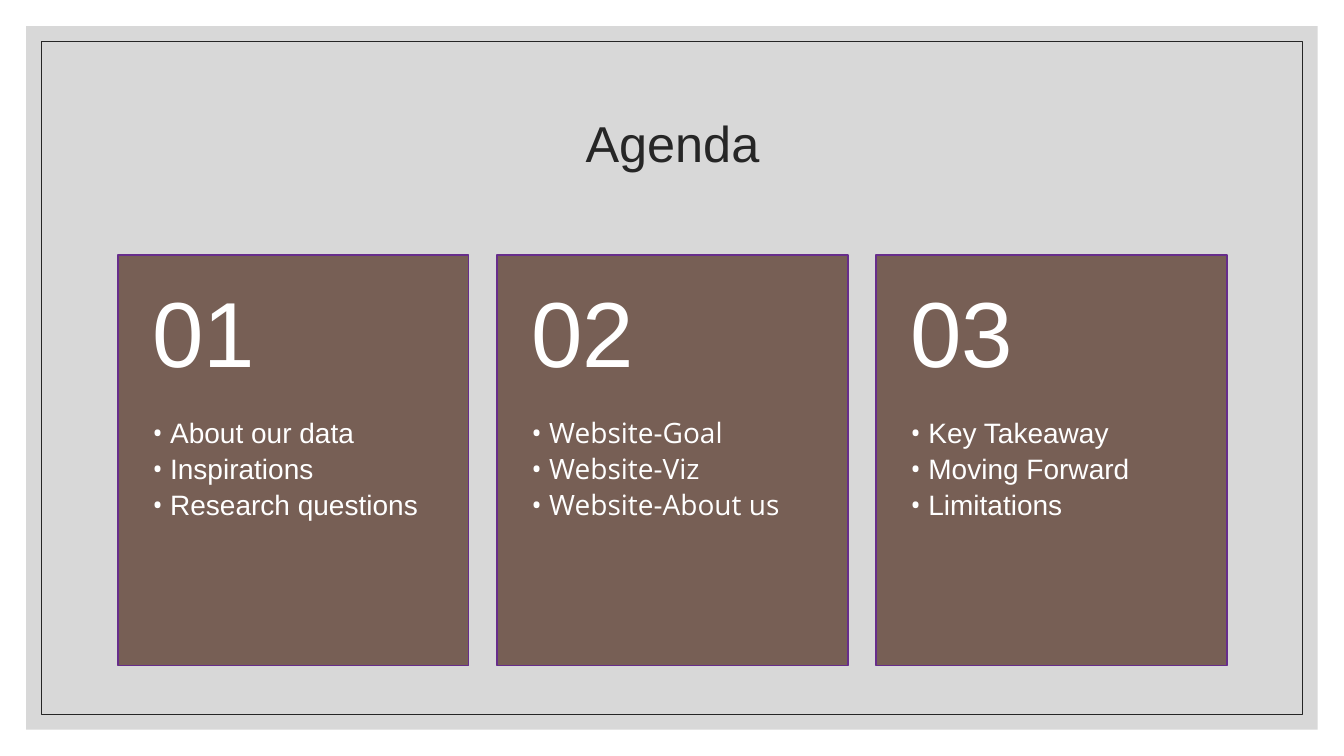
from lxml import etree
from pptx import Presentation
from pptx.dml.color import RGBColor
from pptx.enum.shapes import MSO_SHAPE
from pptx.enum.text import MSO_ANCHOR, PP_ALIGN
from pptx.oxml.ns import qn
from pptx.util import Inches, Pt

RECT = MSO_SHAPE.RECTANGLE
TOP, MIDDLE = MSO_ANCHOR.TOP, MSO_ANCHOR.MIDDLE
LEFT, CENTER = PP_ALIGN.LEFT, PP_ALIGN.CENTER

SANS, OPEN = "Arial", "Open Sans"
DARK, WHITE, GREY = "262626", "FFFFFF", "BFBFBF"
BROWN, PURPLE = "775F55", "672D8B"

TITLE = "Agenda"
CARDS = [
    ("01", SANS, ["About our data", "Inspirations", "Research questions"]),
    ("02", OPEN, ["Website-Goal", "Website-Viz", "Website-About us"]),
    ("03", SANS, ["Key Takeaway", "Moving Forward", "Limitations"]),
]

WIDE, HIGH = 13.33, 7.5
X, Y, STEP = 1.17, 2.53, 3.76
CARD_W, CARD_H, HEAD_H = 3.48, 4.07, 1.63

deck = Presentation()
deck.slide_width, deck.slide_height = Inches(WIDE), Inches(HIGH)
slide = deck.slides.add_slide(deck.slide_layouts[6])


def color(code):
    return RGBColor.from_string(code)


def add_rect(box, fill=None, line=None, width=1, alpha=None):
    shape = slide.shapes.add_shape(RECT, *map(Inches, box))
    shape.shadow.inherit = False
    if fill:
        shape.fill.solid()
        shape.fill.fore_color.rgb = color(fill)
    else:
        shape.fill.background()
    if line:
        shape.line.color.rgb = color(line)
        shape.line.width = Pt(width)
    else:
        shape.line.fill.background()
    if alpha:
        tone = shape.fill._xPr.find(".//" + qn("a:srgbClr"))
        etree.SubElement(tone, qn("a:alpha"), val=str(alpha * 1000))


def add_text(box, paras, size=20, ink=WHITE, align=LEFT, anchor=TOP,
             inset=(0.1, 0.05, 0.1, 0.05), after=0):
    frame = slide.shapes.add_textbox(*map(Inches, box)).text_frame
    frame.word_wrap = True
    frame.vertical_anchor = anchor
    (frame.margin_left, frame.margin_top,
     frame.margin_right, frame.margin_bottom) = map(Inches, inset)
    for i, runs in enumerate(paras):
        para = frame.paragraphs[0] if i == 0 else frame.add_paragraph()
        para.alignment = align
        para.line_spacing = 0.9
        para.space_after = Pt(after)
        for words, font in runs:
            run = para.add_run()
            run.text = words
            run.font.name = font
            run.font.size = Pt(size)
            run.font.color.rgb = color(ink)


for edge, look in (
    (0.26, dict(fill=GREY, alpha=60)),
    (0.41, dict(line=DARK, width=0.5)),
):
    add_rect((edge, edge, WIDE - 2 * edge, HIGH - 2 * edge), **look)

add_text((X, 0.7, 11, 1.5), [[(TITLE, SANS)]], size=36, ink=DARK,
         align=CENTER, anchor=MIDDLE)

for i, (number, font, items) in enumerate(CARDS):
    x = X + i * STEP
    add_rect((x, Y, CARD_W, CARD_H), fill=BROWN, line=PURPLE)
    add_text((x, Y + HEAD_H, CARD_W, CARD_H - HEAD_H),
             [[("• ", OPEN), (item, font)] for item in items],
             inset=(0.34, 0, 0.34, 0.36), after=4)
    add_text((x, Y, CARD_W, HEAD_H), [[(number, SANS)]], size=66,
             anchor=MIDDLE, inset=(0.34, 0.18, 0.34, 0.18))

deck.save("out.pptx")
